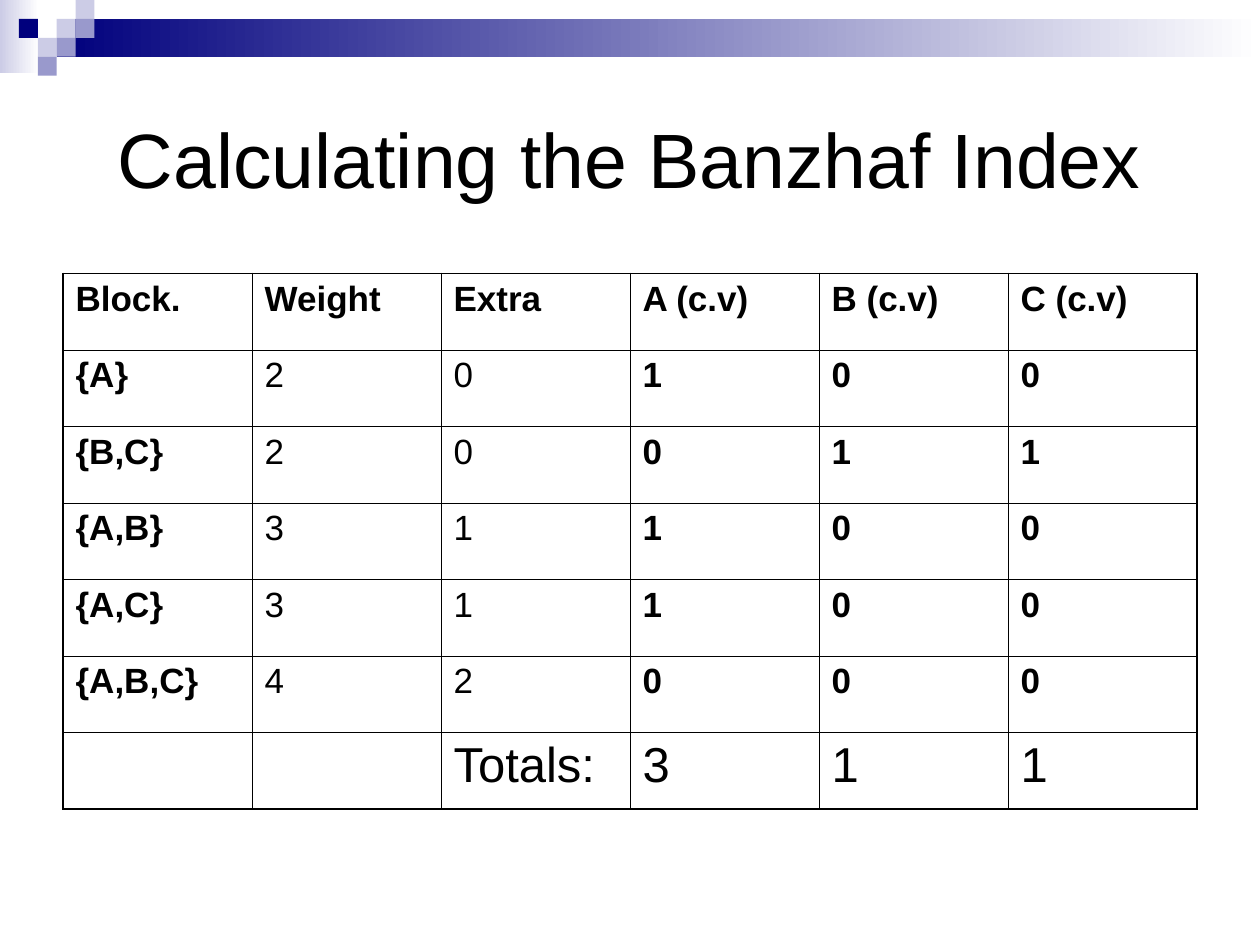
from lxml.etree import SubElement
from pptx import Presentation
from pptx.dml.color import RGBColor
from pptx.enum.shapes import MSO_SHAPE
from pptx.enum.text import MSO_ANCHOR, PP_ALIGN
from pptx.oxml.ns import qn
from pptx.util import Inches, Pt

BLACK = RGBColor(0x00, 0x00, 0x00)
WHITE = RGBColor(0xFF, 0xFF, 0xFF)
NAVY = RGBColor(0x00, 0x00, 0x7D)
LAVENDER = RGBColor(0xCC, 0xCC, 0xE6)
PERIWINKLE = RGBColor(0x99, 0x99, 0xCC)

TILE = 0.15
MARGIN = 0.5
COLUMN, ROW = 1.5, 4.25 / 7
OUTER, INNER = 1.08, 0.45

BANDS = [((0, 0, 0.31, 0.58), LAVENDER), ((0.45, TILE, 9.55, 2 * TILE), NAVY)]
TILES = [
    (3, 1, LAVENDER), (4, 0, LAVENDER), (4, 1, PERIWINKLE), (2, 2, LAVENDER),
    (1, 1, NAVY), (3, 2, PERIWINKLE), (2, 3, PERIWINKLE),
]
BANZHAF = [
    ["Block.", "Weight", "Extra", "A (c.v)", "B (c.v)", "C (c.v)"],
    ["{A}", "2", "0", "1", "0", "0"],
    ["{B,C}", "2", "0", "0", "1", "1"],
    ["{A,B}", "3", "1", "1", "0", "0"],
    ["{A,C}", "3", "1", "1", "0", "0"],
    ["{A,B,C}", "4", "2", "0", "0", "0"],
    ["", "", "Totals:", "3", "1", "1"],
]

TITLE_FONT = {"name": "Arial", "size": Pt(44), "bold": False}
ENTRY_FONT = {"name": "Arial", "size": Pt(20), "bold": True}
WEIGHT_FONT = {**ENTRY_FONT, "bold": False}
TOTAL_FONT = {"name": "Arial", "size": Pt(28), "bold": False}


def format_font(font, values):
    """Apply a dict of font values in black."""
    for attribute, value in values.items():
        setattr(font, attribute, value)
    font.color.rgb = BLACK


def add_block(slide, box, color, fade=False):
    """Add a borderless rectangle, plain or fading to white."""
    block = slide.shapes.add_shape(MSO_SHAPE.RECTANGLE, *map(Inches, box))
    block.shadow.inherit = False
    block.line.fill.background()
    if fade:
        block.fill.gradient()
        block.fill.gradient_angle = 0
        for stop, shade in zip(block.fill.gradient_stops, (color, WHITE)):
            stop.color.rgb = shade
    else:
        block.fill.solid()
        block.fill.fore_color.rgb = color


def add_ornament(slide):
    """Add the fading bands and the corner tiles."""
    for box, color in BANDS:
        add_block(slide, box, color, fade=True)
    for column, row, color in TILES:
        add_block(slide, (column * TILE, row * TILE, TILE, TILE), color)


def set_title(slide, wording):
    """Place and format the title placeholder."""
    title = slide.shapes.title
    place = {"left": MARGIN, "top": 0.5, "width": 6 * COLUMN, "height": 1.5}
    for side, length in place.items():
        setattr(title, side, Inches(length))
    title.text_frame.text = wording
    title.text_frame.vertical_anchor = MSO_ANCHOR.MIDDLE
    heading = title.text_frame.paragraphs[0]
    heading.alignment = PP_ALIGN.CENTER
    format_font(heading.runs[0].font, TITLE_FONT)


def set_borders(cell, widths):
    """Draw the cell's black borders at the given widths in points."""
    properties = cell._tc.get_or_add_tcPr()
    for side, width in widths.items():
        border = SubElement(properties, qn(f"a:ln{side}"), w=str(Pt(width)))
        fill = SubElement(border, qn("a:solidFill"))
        SubElement(fill, qn("a:srgbClr"), val=str(BLACK))


def entry_font(row, column):
    """Choose the font for a cell from its row and column."""
    if row == len(BANZHAF) - 1:
        return TOTAL_FONT
    return WEIGHT_FONT if row and column in (1, 2) else ENTRY_FONT


def add_index_table(slide, entries):
    """Add the ruled table of blocks and critical voters."""
    rows, columns = len(entries), len(entries[0])
    frame = slide.shapes.add_table(
        rows, columns, Inches(MARGIN), Inches(2.17),
        Inches(columns * COLUMN), Inches(rows * ROW))
    table = frame.table
    table.first_row = table.horz_banding = False
    for row, line in enumerate(entries):
        for column, entry in enumerate(line):
            cell = table.cell(row, column)
            cell.text = entry
            format_font(cell.text_frame.paragraphs[0].font, entry_font(row, column))
            for run in cell.text_frame.paragraphs[0].runs:
                format_font(run.font, entry_font(row, column))
            edges = {"L": column == 0, "R": column == columns - 1,
                     "T": row == 0, "B": row == rows - 1}
            set_borders(cell, {side: OUTER if outer else INNER
                               for side, outer in edges.items()})
            cell.fill.background()


def main():
    """Build and save the slide."""
    deck = Presentation()
    deck.slide_width, deck.slide_height = Inches(10), Inches(7.5)
    slide = deck.slides.add_slide(deck.slide_layouts[5])
    add_ornament(slide)
    set_title(slide, "Calculating the Banzhaf Index")
    add_index_table(slide, BANZHAF)
    deck.save("out.pptx")


if __name__ == "__main__":
    main()
